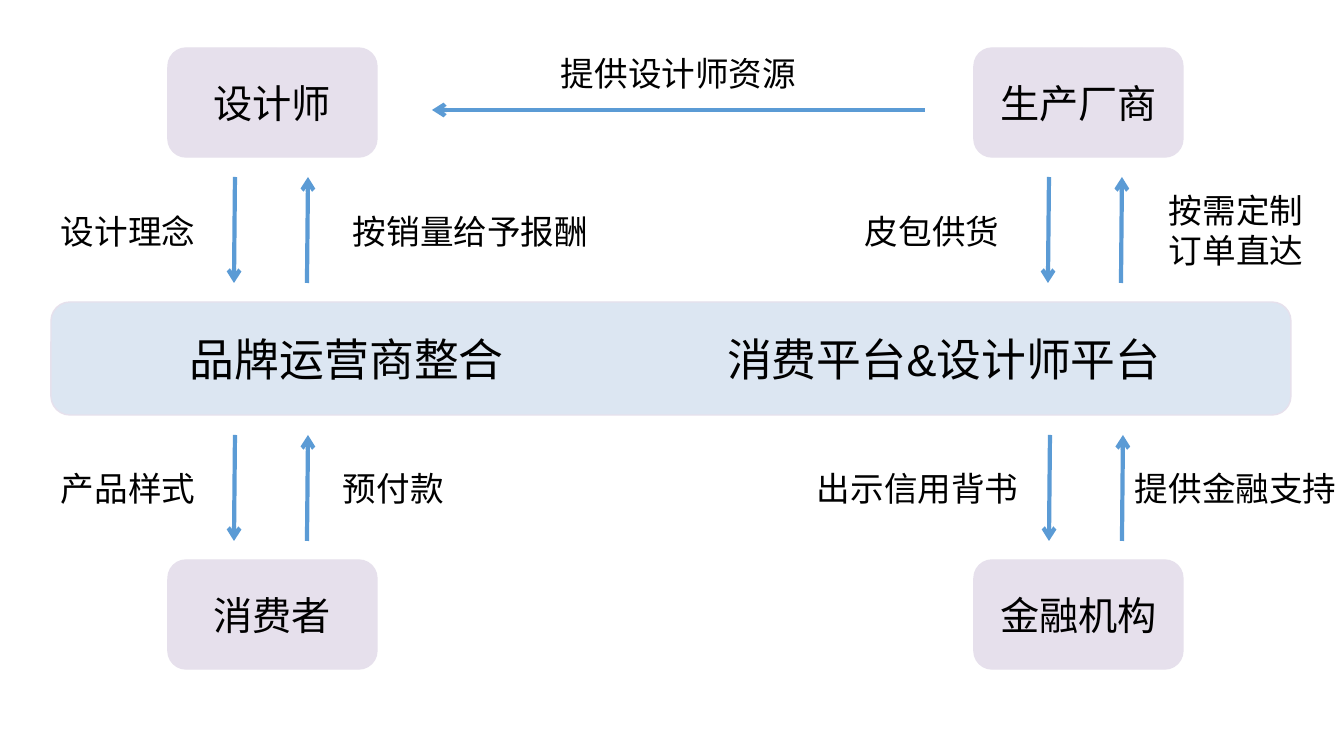
import pptx
import pptx.util
import pptx.dml.color
import pptx.enum.shapes
import pptx.enum.text
import pptx.oxml
import pptx.oxml.ns

RGBColor = pptx.dml.color.RGBColor
LILAC = RGBColor(0xE6, 0xE0, 0xEC)
PALE_BLUE = RGBColor(0xDC, 0xE6, 0xF2)
BLUE = RGBColor(0x5B, 0x9B, 0xD5)
BLACK = RGBColor(0, 0, 0)

CENTER = pptx.enum.text.PP_ALIGN.CENTER
LEFT = pptx.enum.text.PP_ALIGN.LEFT

PARTIES = [
    ("设计师", 168, 48),
    ("生产厂商", 974, 48),
    ("消费者", 168, 560),
    ("金融机构", 974, 560),
]
PARTY_SIZE = (209, 109)
BAND = (51, 302, 1240, 113)
PLATFORMS = [
    ("品牌运营商整合", 160, 327, 374, 64),
    ("消费平台&设计师平台", 680, 327, 528, 64),
]
FLOW_LABELS = [
    ("提供设计师资源", 551, 48, 257, 50),
    ("按销量给予报酬", 343, 206, 257, 50),
    ("设计理念", 51, 206, 157, 50),
    ("按需定制\n订单直达", 1159, 184, 157, 92),
    ("皮包供货", 855, 206, 157, 50),
    ("出示信用背书", 807, 463, 223, 50),
    ("提供金融支持", 1125, 463, 223, 50),
    ("产品样式", 51, 463, 157, 50),
    ("预付款", 333, 463, 123, 50),
]
ARROW_PAIRS = [(234, 177), (234, 435), (1048, 177), (1049, 435)]
ARROW_HEIGHT = 106
ARROW_GAP = 73
ARROW_LEAN = 1
RESOURCE_ARROW = (925, 110, 432, 110)


def px(n):
    return pptx.util.Emu(round(n * 914400 / 100.8))


def write_text(tf, text, size=24, align=LEFT, wrap=False):
    tf.word_wrap = wrap
    tf.vertical_anchor = pptx.enum.text.MSO_ANCHOR.MIDDLE
    for i, line in enumerate(text.split("\n")):
        p = tf.add_paragraph() if i else tf.paragraphs[0]
        p.alignment = align
        r = p.add_run()
        r.text = line
        r.font.size = pptx.util.Pt(size)
        r.font.name = "Arial"
        r.font.color.rgb = BLACK


def add_box(s, bounds, fill):
    kind = pptx.enum.shapes.MSO_SHAPE.ROUNDED_RECTANGLE
    sp = s.shapes.add_shape(kind, *map(px, bounds))
    sp.shadow.inherit = False
    sp.fill.solid()
    sp.fill.fore_color.rgb = fill
    sp.line.color.rgb = LILAC
    sp.line.width = pptx.util.Pt(1)
    return sp


def add_label(s, text, bounds, **fmt):
    sp = s.shapes.add_textbox(*map(px, bounds))
    write_text(sp.text_frame, text, **fmt)
    sp.text_frame.auto_size = pptx.enum.text.MSO_AUTO_SIZE.SHAPE_TO_FIT_TEXT


def add_arrow(s, ends):
    kind = pptx.enum.shapes.MSO_CONNECTOR.STRAIGHT
    c = s.shapes.add_connector(kind, *map(px, ends))
    c.line.color.rgb = BLUE
    c.line.width = pptx.util.Pt(3)
    ns = pptx.oxml.ns.nsdecls("a")
    ln = c.line._get_or_add_ln()
    ln.append(pptx.oxml.parse_xml(f'<a:tailEnd {ns} type="arrow"/>'))
    c._element.spPr.append(pptx.oxml.parse_xml(f"<a:effectLst {ns}/>"))


def main():
    prs = pptx.Presentation()
    prs.slide_width, prs.slide_height = px(1344), px(756)
    s = prs.slides.add_slide(prs.slide_layouts[6])

    for text, x, y in PARTIES:
        sp = add_box(s, (x, y, *PARTY_SIZE), LILAC)
        write_text(sp.text_frame, text, size=28, align=CENTER, wrap=True)
    add_box(s, BAND, PALE_BLUE)

    add_arrow(s, RESOURCE_ARROW)
    for x, top in ARROW_PAIRS:
        bottom = top + ARROW_HEIGHT
        up = x + ARROW_GAP
        add_arrow(s, (up, bottom, up + ARROW_LEAN, top))
        add_arrow(s, (x + ARROW_LEAN, top, x, bottom))

    for text, *bounds in FLOW_LABELS:
        add_label(s, text, bounds)
    for text, *bounds in PLATFORMS:
        add_label(s, text, bounds, size=32, align=CENTER, wrap=True)

    prs.save("out.pptx")


if __name__ == "__main__":
    main()
